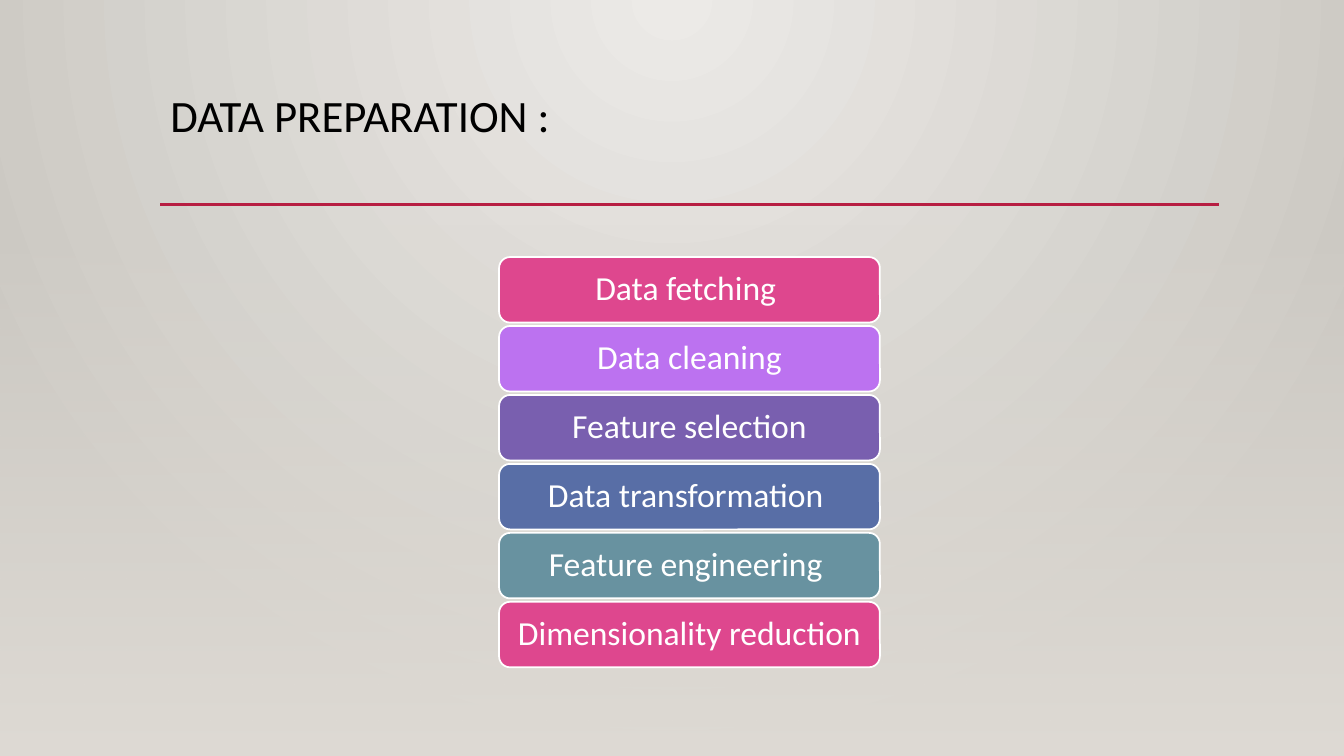
from dataclasses import dataclass

from pptx import Presentation
from pptx.dml.color import RGBColor as Rgb
from pptx.enum.shapes import MSO_CONNECTOR as Connector, MSO_SHAPE as Shape
from pptx.enum.text import MSO_ANCHOR as Anchor, PP_ALIGN as Align
from pptx.oxml.ns import qn
from pptx.oxml.xmlchemy import OxmlElement as make_element
from pptx.util import Pt


@dataclass(frozen=True)
class Theme:
    font: str = "Calibri"
    title_size: int = 32
    step_size: int = 24
    ink: str = "000000"
    white: str = "FFFFFF"
    rule: str = "B71E42"
    glow: tuple = ("ECEAE7", "CAC7C1")
    floor: tuple = ("DFDBD5", "DFDBD5")
    steps: tuple = ("DE478E", "BC72F0", "795FAF", "586EA6", "6892A0")


THEME = Theme()
WIDTH, HEIGHT = 960, 540
STEPS = (
    "Data fetching ",
    "Data cleaning",
    "Feature selection",
    "Data transformation ",
    "Feature engineering ",
    "Dimensionality reduction",
)


def apply_format(target, values):
    for name, value in values.items():
        setattr(target, name, value)


def add_child(parent, tag, **attributes):
    child = make_element(tag)
    for name, value in attributes.items():
        child.set(name, value)
    parent.append(child)
    return child


def write_text(frame, text, size, color, align):
    frame.text = text
    paragraph = frame.paragraphs[0]
    apply_format(paragraph, {"alignment": align, "line_spacing": 0.9})
    font = paragraph.runs[0].font
    apply_format(font, {"name": THEME.font, "size": Pt(size), "bold": False})
    font.color.rgb = Rgb.from_string(color)


def set_gradient(fill, colors):
    fill.gradient()
    fill.gradient_angle = 270
    for stop, position, color in zip(fill.gradient_stops, (0, 1), colors):
        stop.position = position
        stop.color.rgb = Rgb.from_string(color)


def paint_glow(slide):
    set_gradient(slide.background.fill, THEME.glow)
    gradient = next(slide.element.iter(qn("a:gradFill")))
    gradient.remove(gradient.find(qn("a:lin")))
    circle = add_child(gradient, "a:path", path="circle")
    add_child(circle, "a:fillToRect", l="43000", t="0", r="43000", b="100000")


def add_floor(slide, top):
    floor = slide.shapes.add_shape(
        Shape.RECTANGLE, 0, Pt(top), Pt(WIDTH), Pt(HEIGHT - top))
    floor.shadow.inherit = False
    floor.line.fill.background()
    set_gradient(floor.fill, THEME.floor)
    first_color = next(floor.element.spPr.iter(qn("a:srgbClr")))
    add_child(first_color, "a:alpha", val="0")


def place_title(slide, text):
    title = slide.shapes.title
    apply_format(title, {"left": Pt(114.5), "top": Pt(63.4),
                         "width": Pt(756), "height": Pt(82.8)})
    title.text_frame.vertical_anchor = Anchor.TOP
    write_text(title.text_frame, text, THEME.title_size, THEME.ink, Align.LEFT)


def add_rule(slide, left, right, y):
    rule = slide.shapes.add_connector(
        Connector.STRAIGHT, Pt(left), Pt(y), Pt(right), Pt(y))
    rule.line.color.rgb = Rgb.from_string(THEME.rule)
    rule.line.width = Pt(2.5)
    add_child(rule.element.spPr, "a:effectLst")


def add_step(slide, text, top, color):
    step = slide.shapes.add_shape(
        Shape.ROUNDED_RECTANGLE, Pt(356.5), Pt(top), Pt(272), Pt(46.8))
    step.shadow.inherit = False
    step.fill.solid()
    step.fill.fore_color.rgb = Rgb.from_string(color)
    step.line.color.rgb = Rgb.from_string(THEME.white)
    step.line.width = Pt(1.25)
    apply_format(step.text_frame, {
        "word_wrap": True, "vertical_anchor": Anchor.MIDDLE,
        "margin_left": Pt(4), "margin_right": Pt(4),
        "margin_top": Pt(4), "margin_bottom": Pt(4)})
    write_text(step.text_frame, text, THEME.step_size, THEME.white, Align.CENTER)


def main():
    deck = Presentation()
    apply_format(deck, {"slide_width": Pt(WIDTH), "slide_height": Pt(HEIGHT)})
    slide = deck.slides.add_slide(deck.slide_layouts[5])
    paint_glow(slide)
    add_floor(slide, 159)
    place_title(slide, "DATA PREPARATION :")
    add_rule(slide, 114.5, 870.5, 146)
    for index, text in enumerate(STEPS):
        color = THEME.steps[index % len(THEME.steps)]
        add_step(slide, text, 183.6 + index * 49.25, color)
    deck.save("out.pptx")


if __name__ == "__main__":
    main()
